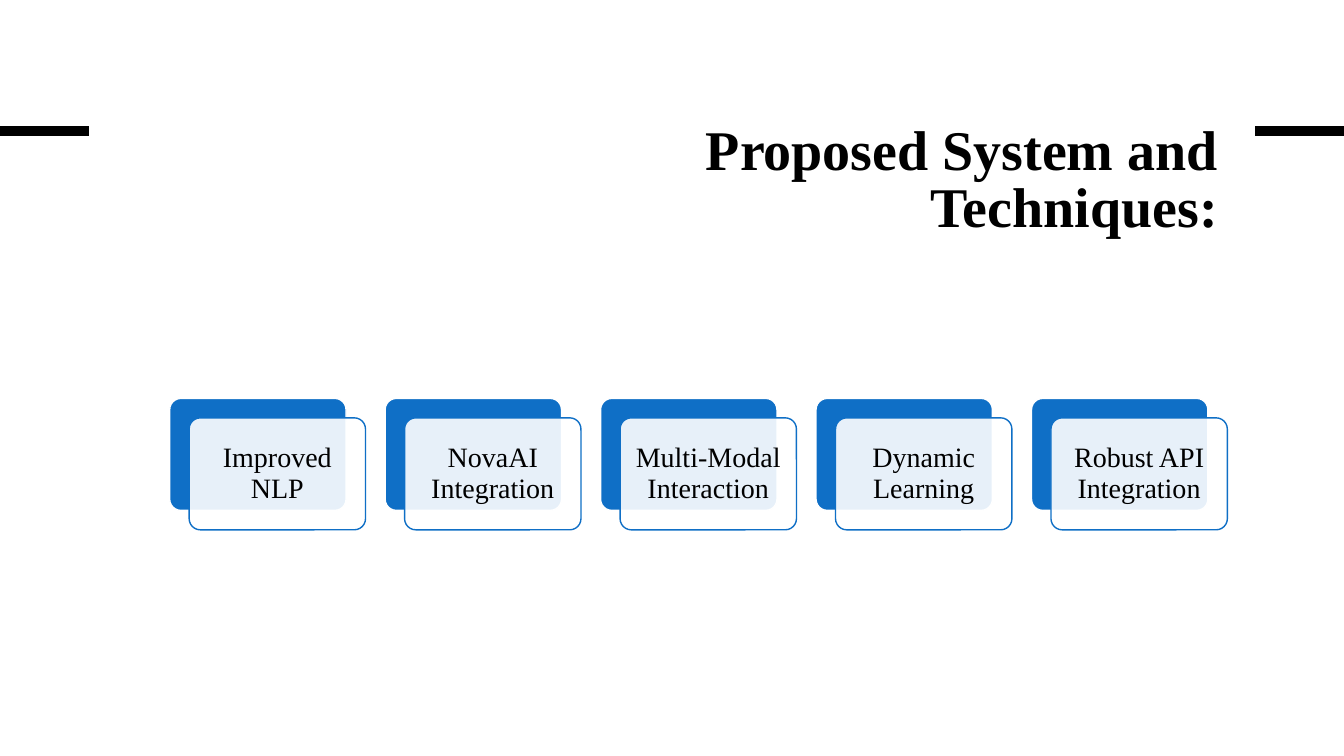
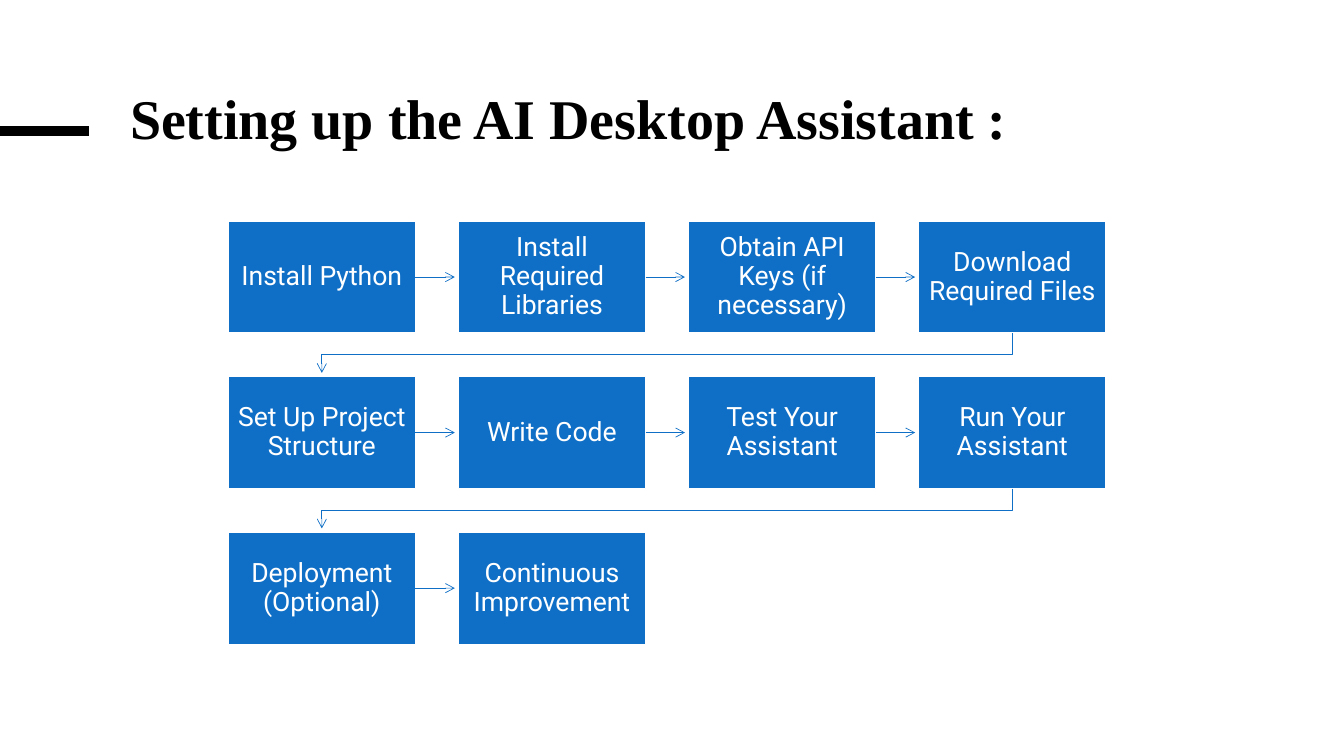
from lxml.etree import SubElement
from pptx import Presentation
from pptx.dml.color import RGBColor
from pptx.enum.shapes import MSO_CONNECTOR as CONNECTOR, MSO_SHAPE as SHAPE
from pptx.enum.text import MSO_ANCHOR as ANCHOR, MSO_AUTO_SIZE as AUTO_SIZE, PP_ALIGN as ALIGN
from pptx.oxml.ns import qn
from pptx.util import Pt

BLACK, WHITE, BLUE = "000000", "FFFFFF", "0F6FC6"
SERIF, SANS = "Times New Roman", "Roboto"


def paint(shape, line, width, fill=None, arrow=False):
    """Set outline and fill, and switch the theme shadow off."""
    shape.line.color.rgb = RGBColor.from_string(line)
    shape.line.width = Pt(width)
    if fill:
        shape.fill.solid()
        shape.fill.fore_color.rgb = RGBColor.from_string(fill)
    properties = shape.element.spPr
    if arrow:
        SubElement(properties.find(qn("a:ln")), qn("a:tailEnd"), type="arrow")
    SubElement(properties, qn("a:effectLst"))


def write(shape, text, color, align, spacing, anchor, insets, **font_values):
    """Fill a shape with one formatted paragraph."""
    frame = shape.text_frame
    frame.text = text
    horizontal, vertical = insets
    frame_values = {
        "word_wrap": True, "auto_size": AUTO_SIZE.NONE, "vertical_anchor": anchor,
        "margin_left": Pt(horizontal), "margin_right": Pt(horizontal),
        "margin_top": Pt(vertical), "margin_bottom": Pt(vertical),
    }
    for name, value in frame_values.items():
        setattr(frame, name, value)
    paragraph = frame.paragraphs[0]
    paragraph.alignment = align
    paragraph.line_spacing = spacing
    font = paragraph.runs[0].font
    for name, value in font_values.items():
        setattr(font, name, value)
    font.color.rgb = RGBColor.from_string(color)


presentation = Presentation()
presentation.slide_width, presentation.slide_height = Pt(960), Pt(540)

# Titles and the heavy bars beside them
BAR_TOP, BAR_LENGTH = 93.6, 63.5
pages = [
    {"title": "Proposed System and Techniques:", "box": (374.4, 85.7, 502.6, 123),
     "align": ALIGN.RIGHT, "bars": [0, 960 - BAR_LENGTH]},
    {"title": "Setting up the AI Desktop Assistant :", "box": (85.7, 63.4, 652.3, 55.4),
     "align": ALIGN.LEFT, "bars": [0]},
]
for page in pages:
    slide = presentation.slides.add_slide(presentation.slide_layouts[5])
    title = slide.shapes.title
    for name, value in zip(("left", "top", "width", "height"), page["box"]):
        setattr(title, name, Pt(value))
    write(title, page["title"], BLACK, page["align"], 0.85, ANCHOR.TOP, (7.2, 3.6),
          name=SERIF, size=Pt(40), bold=True)
    for left in page["bars"]:
        bar = slide.shapes.add_connector(
            CONNECTOR.STRAIGHT, Pt(left), Pt(BAR_TOP), Pt(left + BAR_LENGTH), Pt(BAR_TOP))
        paint(bar, BLACK, 6.75)

techniques_slide, setup_slide = presentation.slides

# Techniques: a blue card with a translucent white card shifted over it
CARD_LEFT, CARD_TOP, CARD_PITCH = 121.2, 284.6, 153.9
CARD_WIDTH, CARD_HEIGHT, CARD_SHIFT = 126, 80, 13.9
techniques = ["Improved NLP", "NovaAI Integration", "Multi-Modal Interaction",
              "Dynamic Learning", "Robust API Integration"]
for index, technique in enumerate(techniques):
    for shift, fill, line in ((0, BLUE, WHITE), (CARD_SHIFT, WHITE, BLUE)):
        card = techniques_slide.shapes.add_shape(
            SHAPE.ROUNDED_RECTANGLE, Pt(CARD_LEFT + index * CARD_PITCH + shift),
            Pt(CARD_TOP + shift), Pt(CARD_WIDTH), Pt(CARD_HEIGHT))
        card.adjustments[0] = 0.1
        paint(card, line, 1, fill)
    # The last card drawn is the front one
    fill_color = card.element.spPr.find(qn("a:solidFill")).find(qn("a:srgbClr"))
    SubElement(fill_color, qn("a:alpha"), val="90000")
    write(card, technique, BLACK, ALIGN.CENTER, 0.9, ANCHOR.MIDDLE, (6, 6),
          name=SERIF, size=Pt(20))

# Setup steps in rows of four
COLUMNS, STEP_LEFT, STEP_TOP = 4, 163, 157.8
STEP_WIDTH, STEP_HEIGHT, COLUMN_PITCH, ROW_PITCH = 133.8, 80.2, 164.4, 111.1
ARROW_GAP = 2.5
steps = ["Install Python", "Install Required Libraries", "Obtain API Keys (if necessary)",
         "Download Required Files", "Set Up Project Structure", "Write Code",
         "Test Your Assistant", "Run Your Assistant", "Deployment (Optional)",
         "Continuous Improvement"]
for index, step in enumerate(steps):
    row, column = divmod(index, COLUMNS)
    left = STEP_LEFT + column * COLUMN_PITCH
    top = STEP_TOP + row * ROW_PITCH
    box = setup_slide.shapes.add_shape(
        SHAPE.RECTANGLE, Pt(left), Pt(top), Pt(STEP_WIDTH), Pt(STEP_HEIGHT))
    paint(box, WHITE, 1, BLUE)
    write(box, step, WHITE, ALIGN.CENTER, 0.9, ANCHOR.MIDDLE, (6.5, 7),
          name=SANS, size=Pt(19))
    if index == len(steps) - 1:
        break

    # Arrow to the next step, bent at the end of a row
    if column < COLUMNS - 1:
        middle = Pt(top + STEP_HEIGHT / 2)
        arrow = setup_slide.shapes.add_connector(
            CONNECTOR.STRAIGHT, Pt(left + STEP_WIDTH), middle,
            Pt(left + COLUMN_PITCH - ARROW_GAP), middle)
        arrow.begin_connect(box, 3)
    else:
        start_x, end_x = Pt(left + STEP_WIDTH / 2), Pt(STEP_LEFT + STEP_WIDTH / 2)
        bottom, next_top = top + STEP_HEIGHT, top + ROW_PITCH
        bend_y = Pt((bottom + next_top) / 2)
        outline = setup_slide.shapes.build_freeform(start_x, Pt(bottom))
        outline.add_line_segments(
            [(start_x, bend_y), (end_x, bend_y), (end_x, Pt(next_top - ARROW_GAP))],
            close=False)
        arrow = outline.convert_to_shape()
        arrow.fill.background()
    paint(arrow, BLUE, 0.5, arrow=True)

presentation.save("out.pptx")
